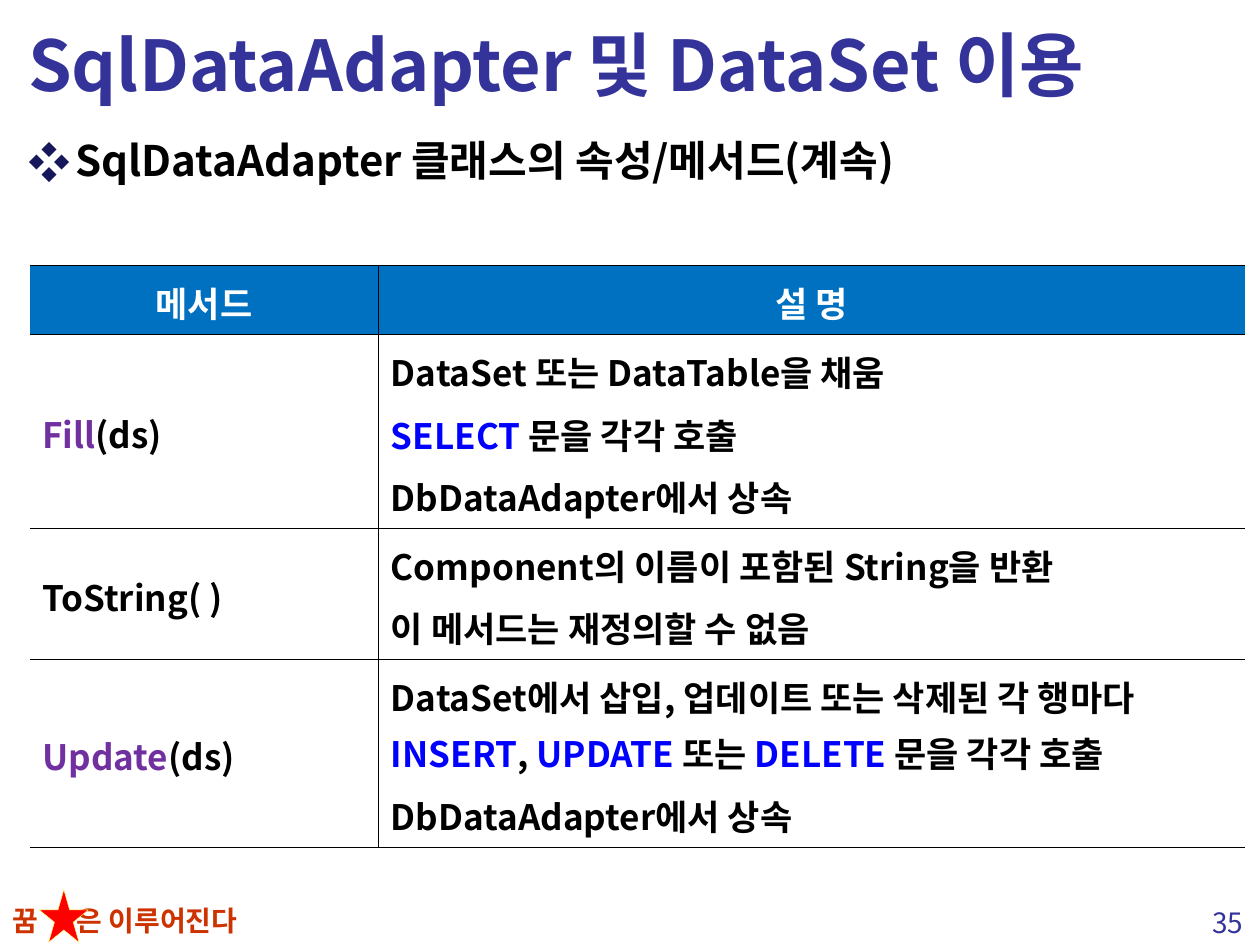
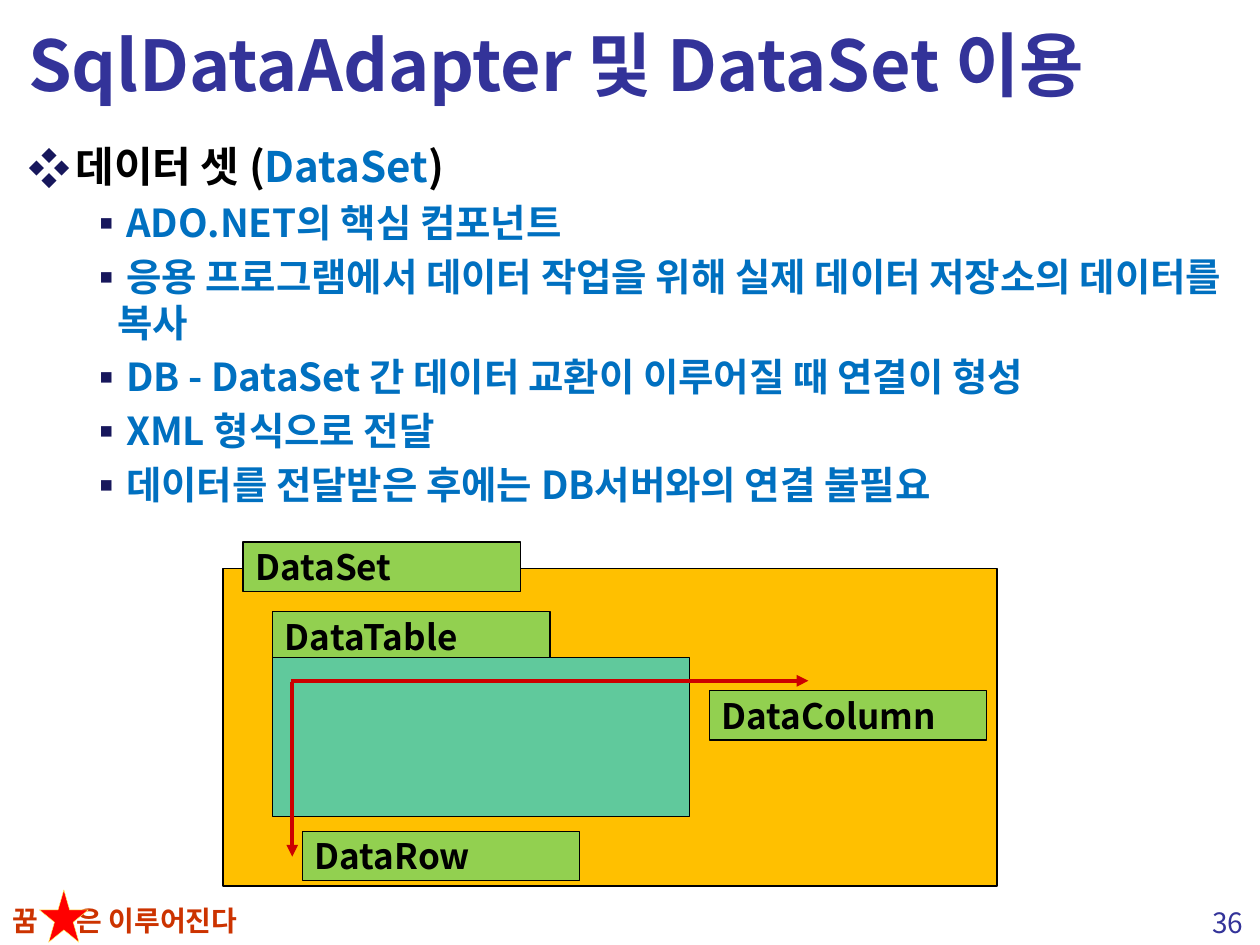
import lxml.etree
import pptx
import pptx.dml.color
import pptx.enum.shapes
import pptx.enum.text
import pptx.oxml.ns
import pptx.util

Pt = pptx.util.Pt
qn = pptx.oxml.ns.qn
SHAPE = pptx.enum.shapes.MSO_SHAPE
ALIGN = pptx.enum.text.PP_ALIGN
ANCHOR = pptx.enum.text.MSO_ANCHOR
FONT = "Noto Sans CJK KR"
TITLE = "SqlDataAdapter 및 DataSet 이용"
COLORS = {
    "title": "333399", "text": "000000", "white": "FFFFFF", "bullet": "17175C",
    "blue": "0070C0", "keyword": "0000FF", "method": "7030A0", "slogan": "CC3300",
    "star": "FF0000", "star_line": "FFFF66", "dataset": "FFC000",
    "label": "92D050", "datatable": "60C99C", "arrow": "CC0000",
}


def rgb(name):
    """Return the named colour."""
    return pptx.dml.color.RGBColor.from_string(COLORS[name])


def sub(parent, tag, **attrs):
    """Append a DrawingML element."""
    return lxml.etree.SubElement(parent, qn("a:" + tag), attrs)


def write(p, text, size=20, color="text", bold=True, align=ALIGN.LEFT, before=0, spacing=None):
    """Fill a paragraph with a string or with (text, colour) pieces."""
    p.alignment = align
    p.space_before = Pt(before)
    if spacing:
        p.line_spacing = spacing
    for part, name in [(text, color)] if isinstance(text, str) else text:
        r = p.add_run()
        r.text = part
        r.font.size, r.font.bold, r.font.name = Pt(size), bold, FONT
        r.font.color.rgb = rgb(name)
        sub(r.font._element, "ea", typeface=FONT)


class Deck:
    """Holds the presentation style and the current slide."""

    def __init__(self):
        """Start an empty 4:3 presentation."""
        self.prs = pptx.Presentation()
        self.prs.slide_width, self.prs.slide_height = Pt(720), Pt(540)

    def new_slide(self, title, number):
        """Add a slide with its title, slogan and number."""
        self.slide = self.prs.slides.add_slide(self.prs.slide_layouts[5])
        self.text("꿈", 0, 512.6, 40, 27, size=16, color="slogan")
        self.text("은 이루어진다", 36.8, 512.6, 140, 27, size=16, color="slogan")
        self.shape(SHAPE.STAR_5_POINT, 22.5, 508.5, 28, 30, "star", "star_line", 0.25)
        self.text(str(number), 683.3, 514, 36.7, 27, size=16, color="title", bold=False, align=ALIGN.CENTER)
        sp = self.slide.shapes.title
        sp.left, sp.top, sp.width, sp.height = Pt(9), Pt(4.5), Pt(702), Pt(63)
        tf = sp.text_frame
        tf.auto_size = pptx.enum.text.MSO_AUTO_SIZE.NONE
        tf.vertical_anchor = ANCHOR.MIDDLE
        write(tf.paragraphs[0], title, size=40, color="title")

    def text(self, text, x, y, w, h, **style):
        """Add a text box with one paragraph."""
        tf = self.slide.shapes.add_textbox(Pt(x), Pt(y), Pt(w), Pt(h)).text_frame
        tf.word_wrap = True
        write(tf.paragraphs[0], text, **style)

    def bullets(self, y, heading, items=()):
        """Add a heading bullet and its second-level items."""
        tf = self.slide.shapes.add_textbox(Pt(9), Pt(y), Pt(705), Pt(435)).text_frame
        tf.word_wrap = True
        for i, text in enumerate([heading, *items]):
            p = tf.add_paragraph() if i else tf.paragraphs[0]
            size, color, margin, hang, mark = (22, "blue", 51, 17, "▪") if i else (24, "text", 27, 27, "❖")
            write(p, text, size=size, color=color, before=size * 0.2)
            pPr = p._p.get_or_add_pPr()
            pPr.set("marL", str(Pt(margin)))
            pPr.set("indent", str(-Pt(hang)))
            sub(sub(pPr, "buClr"), "srgbClr", val=COLORS["bullet"])
            sub(pPr, "buFont", typeface=FONT)
            sub(pPr, "buChar", char=mark)

    def shape(self, kind, x, y, w, h, fill, line="text", weight=0.75):
        """Add a filled, outlined shape."""
        sp = self.slide.shapes.add_shape(kind, Pt(x), Pt(y), Pt(w), Pt(h))
        sp.shadow.inherit = False
        sp.fill.solid()
        sp.fill.fore_color.rgb = rgb(fill)
        sp.line.color.rgb = rgb(line)
        sp.line.width = Pt(weight)
        return sp

    def label(self, text, x, y):
        """Add a green name tag."""
        tf = self.shape(SHAPE.RECTANGLE, x, y, 158.5, 28.3, "label").text_frame
        tf.word_wrap = True
        tf.vertical_anchor = ANCHOR.MIDDLE
        write(tf.paragraphs[0], text)

    def arrow(self, x1, y1, x2, y2):
        """Add a straight arrow."""
        c = self.slide.shapes.add_connector(
            pptx.enum.shapes.MSO_CONNECTOR.STRAIGHT, Pt(x1), Pt(y1), Pt(x2), Pt(y2))
        c.line.color.rgb = rgb("arrow")
        c.line.width = Pt(2.25)
        sub(c.get_or_add_ln(), "tailEnd", type="triangle")
        sub(c._element.spPr, "effectLst")

    def borders(self, cell, sides):
        """Draw the given cell sides and clear the others."""
        tcPr = cell._tc.get_or_add_tcPr()
        for i, side in enumerate("LRTB"):
            ln = lxml.etree.Element(qn("a:ln" + side), {"w": str(Pt(0.25))})
            if side in sides:
                sub(sub(ln, "solidFill"), "srgbClr", val=COLORS["text"])
            else:
                sub(ln, "noFill")
            tcPr.insert(i, ln)

    def table(self, x, y, widths, heights, rows):
        """Add a table whose cells are lists of paragraphs."""
        frame = self.slide.shapes.add_table(
            len(rows), len(widths), Pt(x), Pt(y), Pt(sum(widths)), Pt(sum(heights)))
        tbl = frame.table
        tbl.first_row = tbl.horz_banding = False
        for col, width in zip(tbl.columns, widths):
            col.width = Pt(width)
        for i, (row, height) in enumerate(zip(rows, heights)):
            tbl.rows[i].height = Pt(height)
            for j, lines in enumerate(row):
                cell = tbl.cell(i, j)
                cell.vertical_anchor = ANCHOR.MIDDLE
                if i == 0:
                    cell.fill.solid()
                    cell.fill.fore_color.rgb = rgb("blue")
                else:
                    cell.fill.background()
                self.borders(cell, "LTB" if j else "RTB")
                for k, line in enumerate(lines):
                    p = cell.text_frame.add_paragraph() if k else cell.text_frame.paragraphs[0]
                    write(p, line, color="text" if i else "white", before=4, spacing=1.1,
                          align=ALIGN.LEFT if i else ALIGN.CENTER)


def method_slide(deck):
    """Build the table of adapter methods."""
    deck.new_slide(TITLE, 35)
    deck.bullets(73.5, "SqlDataAdapter 클래스의 속성/메서드(계속)")
    inherited = "DbDataAdapter에서 상속"
    update = [
        ("DataSet에서 삽입, 업데이트 또는 삭제된 각 행마다 ", "text"),
        ("INSERT", "keyword"), (", ", "text"), ("UPDATE ", "keyword"),
        ("또는 ", "text"), ("DELETE ", "keyword"), ("문을 각각 호출", "text"),
    ]
    deck.table(17, 151.6, [199.2, 495.2], [39.4, 110.8, 74.9, 107.2], [
        [["메서드"], ["설 명"]],
        [[[("Fill", "method"), ("(ds)", "text")]],
         ["DataSet 또는 DataTable을 채움",
          [("SELECT ", "keyword"), ("문을 각각 호출", "text")], inherited]],
        [["ToString( )"],
         ["Component의 이름이 포함된 String을 반환", "이 메서드는 재정의할 수 없음"]],
        [[[("Update", "method"), ("(ds)", "text")]], [update, inherited]],
    ])


def dataset_slide(deck):
    """Build the DataSet points and structure diagram."""
    deck.new_slide(TITLE, 36)
    deck.bullets(77, [("데이터 셋 (", "text"), ("DataSet", "blue"), (")", "text")], [
        "ADO.NET의 핵심 컴포넌트",
        "응용 프로그램에서 데이터 작업을 위해 실제 데이터 저장소의 데이터를 복사",
        "DB - DataSet 간 데이터 교환이 이루어질 때 연결이 형성",
        "XML 형식으로 전달",
        "데이터를 전달받은 후에는 DB서버와의 연결 불필요",
    ])
    deck.shape(SHAPE.RECTANGLE, 127.5, 325, 442.3, 181.3, "dataset")
    for name, x, y in [("DataSet", 138.8, 309.7), ("DataTable", 155.8, 349.4),
                       ("DataRow", 172.8, 475), ("DataColumn", 405.3, 394.7)]:
        deck.label(name, x, y)
    deck.shape(SHAPE.RECTANGLE, 155.8, 375.8, 238.2, 90.7, "datatable")
    deck.arrow(167, 390, 167, 489.5)
    deck.arrow(166.5, 389, 462, 389)


def main():
    """Build and save the slides."""
    deck = Deck()
    method_slide(deck)
    dataset_slide(deck)
    deck.prs.save("out.pptx")


if __name__ == "__main__":
    main()
